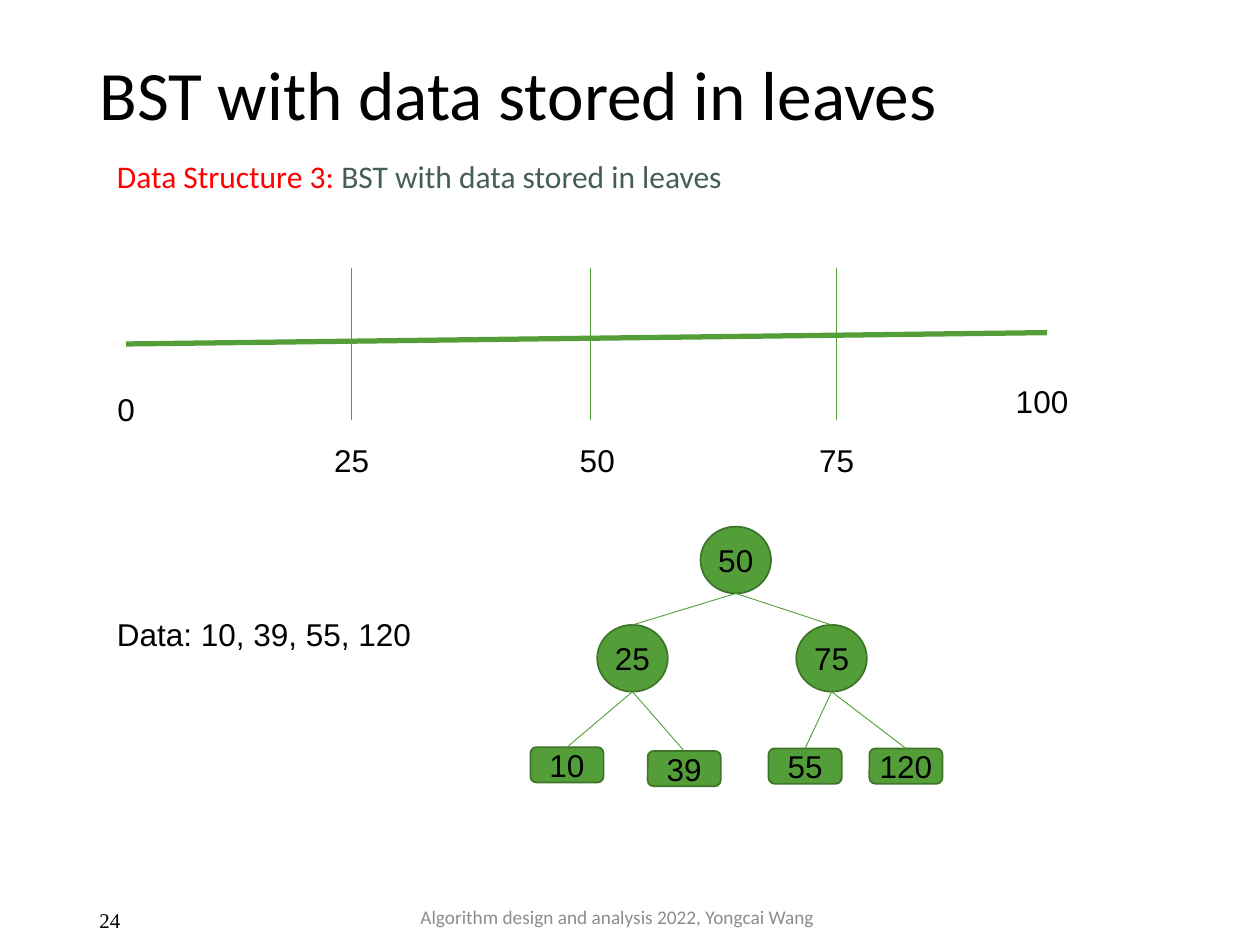
from pptx import Presentation
from pptx.dml.color import RGBColor
from pptx.enum.shapes import MSO_CONNECTOR as Link, MSO_SHAPE as Kind
from pptx.enum.text import MSO_ANCHOR as Anchor, PP_ALIGN as Align
from pptx.oxml.ns import qn
from pptx.util import Inches, Pt

GREEN, EDGE, BLACK = "549E39", "3E752A", "000000"


def color(code):
    return RGBColor.from_string(code)


def style(run, size, name, code):
    run.font.size = Pt(size)
    run.font.name = name
    run.font.color.rgb = color(code)


def label(slide, box, text, size=18, name="Arial", code=BLACK,
          align=Align.LEFT, anchor=Anchor.TOP, wrap=False):
    frame = slide.shapes.add_textbox(*map(Inches, box)).text_frame
    frame.word_wrap = wrap
    frame.vertical_anchor = anchor
    para = frame.paragraphs[0]
    para.text = text
    para.alignment = align
    style(para.runs[0], size, name, code)
    return para


def line(slide, start, end, width=0.5):
    link = slide.shapes.add_connector(
        Link.STRAIGHT, *map(Inches, (*start, *end)))
    link.line.color.rgb = color(GREEN)
    link.line.width = Pt(width)
    props = link._element.spPr
    props.append(props.makeelement(qn("a:effectLst"), {}))


def node(slide, kind, mid, top, size, text):
    """Draw a tree node centred on mid."""
    wide, high = size
    shape = slide.shapes.add_shape(
        kind, *map(Inches, (mid - wide / 2, top, wide, high)))
    shape.shadow.inherit = False
    shape.fill.solid()
    shape.fill.fore_color.rgb = color(GREEN)
    shape.line.color.rgb = color(EDGE)
    shape.line.width = Pt(1)
    frame = shape.text_frame
    frame.margin_left = frame.margin_right = 0
    frame.margin_top = frame.margin_bottom = 0
    frame.word_wrap = False
    frame.vertical_anchor = Anchor.MIDDLE
    para = frame.paragraphs[0]
    para.text = text
    para.alignment = Align.CENTER
    style(para.runs[0], 18, "Arial", BLACK)


def heading(slide, left, top):
    title = slide.shapes.title
    title.left, title.top = Inches(left), Inches(top)
    title.width, title.height = Inches(8.62), Inches(0.75)
    frame = title.text_frame
    frame.text = "BST with data stored in leaves"
    frame.vertical_anchor = Anchor.MIDDLE
    para = frame.paragraphs[0]
    para.alignment = Align.LEFT
    para.line_spacing = 0.9
    style(para.runs[0], 39.6, "Calibri", BLACK)

    para = label(slide, (left + 0.14, top + 0.8, 6.42, 0.4),
                 "Data Structure 3: ", name="Calibri", code="FF0000", wrap=True)
    run = para.add_run()
    run.text = "BST with data stored in leaves"
    style(run, 18, "Calibri", "455F51")


def axis(slide, left, top):
    """Draw the number line with its split points."""
    line(slide, (left, top + 0.6), (left + 7.31, top + 0.51), 3)
    for x, text in ((1.79, "25"), (3.69, "50"), (5.64, "75")):
        line(slide, (left + x, top), (left + x, top + 1.2))
    marks = ((0, 0.92, "0"), (7.27, 0.85, "100"),
             (1.79, 1.32, "25"), (3.74, 1.32, "50"), (5.64, 1.32, "75"))
    for x, y, text in marks:
        label(slide, (left + x - 0.31, top + y, 0.62, 0.4), text,
              align=Align.CENTER)


def tree(slide, left, top):
    disc, leaf = (0.56, 0.53), (0.58, 0.28)
    root = left + 1.63
    node(slide, Kind.OVAL, root, top, disc, "50")
    row = top + 0.78
    halves = (
        (0.81, "25", ((0.29, 1.75, "10"), (1.22, 1.78, "39"))),
        (2.39, "75", ((2.18, 1.76, "55"), (2.98, 1.76, "120"))),
    )
    for x, text, leaves in halves:
        mid = left + x
        node(slide, Kind.OVAL, mid, row, disc, text)
        line(slide, (root, top + disc[1]), (mid, row))
        for dx, dy, data in leaves:
            spot = left + dx, top + dy
            node(slide, Kind.ROUNDED_RECTANGLE, *spot, leaf, data)
            line(slide, (mid, row + disc[1]), spot)


def footer(slide, left, top):
    label(slide, (left, top, 2.25, 0.4), "24", 12, "Times New Roman",
          anchor=Anchor.MIDDLE, wrap=True)
    label(slide, (left + 2.33, top - 0.02, 3.76, 0.4),
          "Algorithm design and analysis 2022, Yongcai Wang", 11, "Calibri",
          "8C8C8C", Align.CENTER, Anchor.MIDDLE, True)


def main():
    deck = Presentation()
    deck.slide_width, deck.slide_height = Inches(10), Inches(7.5)
    slide = deck.slides.add_slide(deck.slide_layouts[5])
    heading(slide, 0.69, 0.4)
    axis(slide, 1, 2.13)
    label(slide, (0.83, 4.83, 2.56, 0.4), "Data: 10, 39, 55, 120")
    tree(slide, 4.21, 4.18)
    footer(slide, 0.69, 7.1)
    deck.save("out.pptx")


if __name__ == "__main__":
    main()
